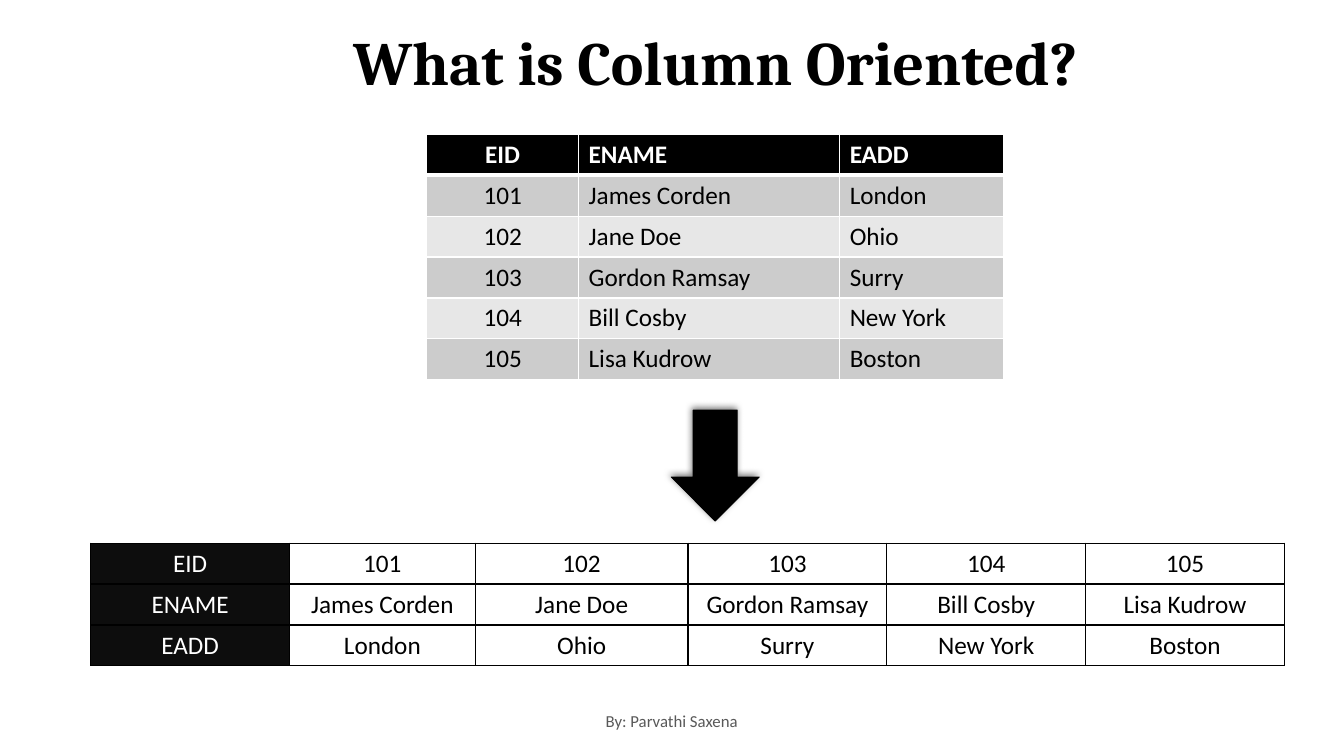
"""Build a slide that turns a row table of employees into a column-oriented one."""
from lxml import etree
from pptx import Presentation
from pptx.dml.color import RGBColor
from pptx.enum.shapes import MSO_SHAPE
from pptx.enum.text import MSO_ANCHOR, PP_ALIGN
from pptx.oxml.ns import qn
from pptx.util import Pt

CENTER, LEFT = PP_ALIGN.CENTER, PP_ALIGN.LEFT
MIDDLE = MSO_ANCHOR.MIDDLE
DOWN_ARROW = MSO_SHAPE.DOWN_ARROW

TITLE = "What is Column Oriented?"
AUTHOR = "By: Parvathi Saxena"
EMPLOYEES = [
    ("EID", "ENAME", "EADD"),
    ("101", "James Corden", "London"),
    ("102", "Jane Doe", "Ohio"),
    ("103", "Gordon Ramsay", "Surry"),
    ("104", "Bill Cosby", "New York"),
    ("105", "Lisa Kudrow", "Boston"),
]
COLUMN_STORE = list(zip(*EMPLOYEES))
EMPLOYEE_WIDTHS = [108.5, 186.5, 117.2]
STORE_WIDTHS = [142, 132.7, 152, 142, 142, 142]
ROW_HEIGHT = 29.2
COLORS = {
    "black": "000000", "white": "FFFFFF", "label": "0D0D0D",
    "odd": "CCCCCC", "even": "E7E7E7", "author": "595959",
}


def rgb(name):
    return RGBColor.from_string(COLORS[name])


def place(part, left, top, width, height):
    part.left, part.top, part.width, part.height = map(Pt, (left, top, width, height))


def write(frame, text, size, color, align=CENTER, bold=False, font="Calibri"):
    frame.text = text
    paragraph = frame.paragraphs[0]
    paragraph.alignment = align
    paragraph.font.size, paragraph.font.name = Pt(size), font
    paragraph.font.bold, paragraph.font.color.rgb = bold, rgb(color)


def add_color(parent, name):
    return etree.SubElement(parent, qn("a:srgbClr"), val=COLORS[name])


def draw_borders(cell, color, top=1, bottom=1):
    properties = cell._tc.get_or_add_tcPr()
    for side, width in (("L", 1), ("R", 1), ("T", top), ("B", bottom)):
        border = etree.SubElement(properties, qn(f"a:ln{side}"), w=str(Pt(width)))
        add_color(etree.SubElement(border, qn("a:solidFill")), color)


def add_grid(slide, rows, widths, left, top, style):
    grid = slide.shapes.add_table(
        len(rows), len(widths), Pt(left), Pt(top), Pt(sum(widths)), Pt(ROW_HEIGHT * len(rows))
    ).table
    grid.first_row = grid.horz_banding = False
    for column, width in zip(grid.columns, widths):
        column.width = Pt(width)
    for r, values in enumerate(rows):
        grid.rows[r].height = Pt(ROW_HEIGHT)
        for c, value in enumerate(values):
            style(grid.cell(r, c), value, r, c)


def style_employee(cell, value, r, c):
    header = r == 0
    draw_borders(cell, "white", top=3 if r == 1 else 1, bottom=3 if header else 1)
    cell.fill.solid()
    cell.fill.fore_color.rgb = rgb("black" if header else "odd" if r % 2 else "even")
    write(cell.text_frame, value, 18, "white" if header else "black",
          LEFT if c else CENTER, header)


def style_store(cell, value, r, c):
    draw_borders(cell, "black")
    if c == 0:
        cell.fill.solid()
        cell.fill.fore_color.rgb = rgb("label")
    else:
        cell.fill.background()
    write(cell.text_frame, value, 18, "black" if c else "white")


def add_arrow(slide):
    arrow = slide.shapes.add_shape(DOWN_ARROW, Pt(479.5), Pt(293), Pt(62.8), Pt(79.2))
    arrow.fill.solid()
    arrow.fill.fore_color.rgb = arrow.line.color.rgb = rgb("black")
    arrow.line.width = Pt(0.75)
    arrow.shadow.inherit = False
    effects = arrow._element.spPr.find(qn("a:effectLst"))
    shadow = etree.SubElement(effects, qn("a:outerShdw"), blurRad=str(Pt(5)),
                              dist=str(Pt(2)), dir=str(245 * 60000), rotWithShape="0")
    etree.SubElement(add_color(shadow, "black"), qn("a:alpha"), val="50000")


def main():
    deck = Presentation()
    deck.slide_width, deck.slide_height = Pt(960), Pt(540)
    slide = deck.slides.add_slide(deck.slide_layouts[5])

    title = slide.shapes.title
    place(title, 155.5, 13.7, 711.4, 59.8)
    write(title.text_frame, TITLE, 44, "black", bold=True, font="Cambria")
    title.text_frame.vertical_anchor = MIDDLE

    add_grid(slide, EMPLOYEES, EMPLOYEE_WIDTHS, 304.8, 96, style_employee)
    add_arrow(slide)
    add_grid(slide, COLUMN_STORE, STORE_WIDTHS, 64.8, 388, style_store)

    author = slide.shapes.add_textbox(Pt(365.8), Pt(500.5), Pt(228), Pt(28.8)).text_frame
    author.word_wrap = True
    author.vertical_anchor = MIDDLE
    write(author, AUTHOR, 12, "author")

    deck.save("out.pptx")


if __name__ == "__main__":
    main()
